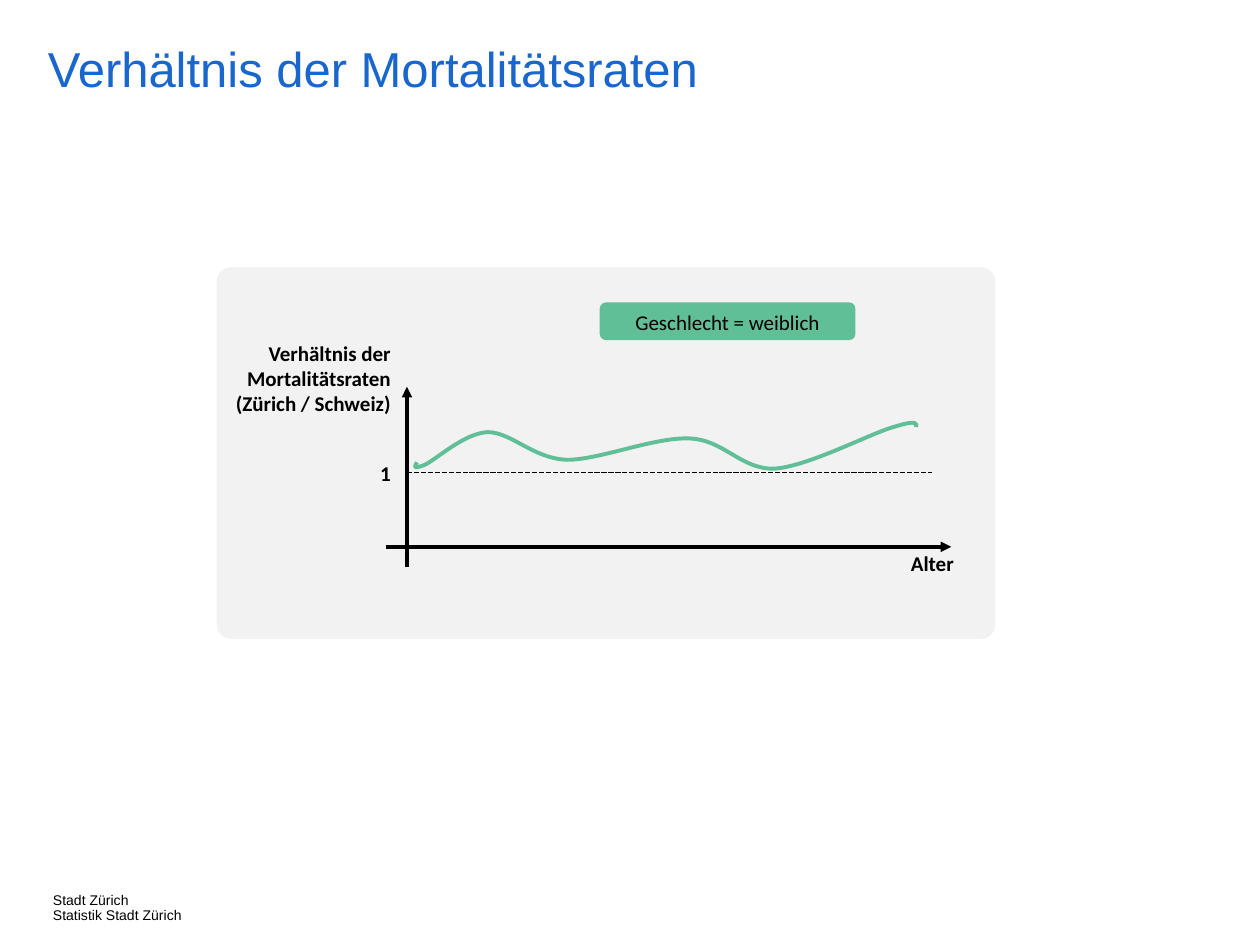
from lxml.etree import SubElement
from pptx import Presentation
from pptx.dml.color import RGBColor
from pptx.enum.dml import MSO_LINE
from pptx.enum.shapes import MSO_CONNECTOR, MSO_SHAPE
from pptx.enum.text import MSO_ANCHOR, MSO_AUTO_SIZE, PP_ALIGN
from pptx.oxml.ns import qn
from pptx.util import Inches, Pt

BLACK = RGBColor(0x00, 0x00, 0x00)
BLUE = RGBColor(0x19, 0x66, 0xCC)
GREEN = RGBColor(0x60, 0xBF, 0x97)
GREY = RGBColor(0xF2, 0xF2, 0xF2)

# Start point, then two control points and an end point per Bézier segment
RATIO_CURVE = [
    (3.31, 3.67),
    (3.29, 3.70), (3.27, 3.73), (3.37, 3.69),
    (3.46, 3.65), (3.68, 3.44), (3.87, 3.43),
    (4.06, 3.43), (4.23, 3.64), (4.50, 3.65),
    (4.76, 3.65), (5.19, 3.47), (5.47, 3.48),
    (5.75, 3.49), (5.88, 3.73), (6.15, 3.72),
    (6.42, 3.70), (6.91, 3.44), (7.09, 3.39),
    (7.28, 3.33), (7.28, 3.36), (7.27, 3.39),
]


def place(sp, box):
    sp.left, sp.top, sp.width, sp.height = map(Inches, box)


def remove_margins(tf):
    tf.margin_left = tf.margin_top = tf.margin_right = tf.margin_bottom = 0


def style_paragraph(p, size, color, font, align, bold=False):
    p.alignment = align
    p.font.size = Pt(size)
    p.font.name = font
    p.font.bold = bold
    p.font.color.rgb = color


def set_title(slide, text):
    title = slide.shapes.title
    place(title, (0.38, 0.36, 9.62, 0.64))
    tf = title.text_frame
    tf.auto_size = MSO_AUTO_SIZE.NONE
    tf.vertical_anchor = MSO_ANCHOR.TOP
    remove_margins(tf)
    p = tf.paragraphs[0]
    p.text = text
    p.line_spacing = 0.9
    style_paragraph(p, 28, BLUE, "Arial", PP_ALIGN.LEFT)


def add_footer(shapes, lines):
    sp = shapes.add_textbox(*map(Inches, (0.42, 7.09, 1.31, 0.2)))
    tf = sp.text_frame
    tf.word_wrap = False
    remove_margins(tf)
    tf.text = "\n".join(lines)
    for p in tf.paragraphs:
        p.line_spacing = 0.9
        style_paragraph(p, 8, BLACK, "Arial", PP_ALIGN.LEFT)


def add_panel(shapes, box, color, radius):
    sp = shapes.add_shape(MSO_SHAPE.ROUNDED_RECTANGLE, *map(Inches, box))
    sp.adjustments[0] = radius
    sp.shadow.inherit = False
    sp.fill.solid()
    sp.fill.fore_color.rgb = color
    sp.line.fill.background()


def add_label(shapes, text, box, align, bold=True):
    sp = shapes.add_textbox(*map(Inches, box))
    tf = sp.text_frame
    tf.word_wrap = True
    tf.auto_size = MSO_AUTO_SIZE.SHAPE_TO_FIT_TEXT
    p = tf.paragraphs[0]
    p.text = text
    style_paragraph(p, 12, BLACK, "Calibri", align, bold)


def add_line(shapes, start, end, width):
    line = shapes.add_connector(MSO_CONNECTOR.STRAIGHT, *map(Inches, start + end))
    line.line.color.rgb = BLACK
    line.line.width = Pt(width)
    SubElement(line._element.spPr, qn("a:effectLst"))
    return line


def add_axis(shapes, start, end):
    axis = add_line(shapes, start, end, 2)
    SubElement(axis.line._get_or_add_ln(), qn("a:tailEnd"), type="triangle")


def add_curve(shapes, points, color, width):
    """Draw a Bézier curve by merging each three line segments into one curve."""
    start, *rest = [(Inches(x), Inches(y)) for x, y in points]
    builder = shapes.build_freeform(*start)
    builder.add_line_segments(rest, close=False)
    sp = builder.convert_to_shape()
    outline = sp._element.find(".//" + qn("a:path"))
    segments = outline.findall(qn("a:lnTo"))
    for i in range(0, len(segments), 3):
        bezier = SubElement(outline, qn("a:cubicBezTo"))
        for segment in segments[i:i + 3]:
            bezier.append(segment[0])
            outline.remove(segment)
    sp.shadow.inherit = False
    sp.fill.background()
    sp.line.color.rgb = color
    sp.line.width = Pt(width)


def add_legend(shapes, text):
    group = shapes.add_group_shape()
    add_panel(group.shapes, (4.76, 2.4, 2.03, 0.3), GREEN, 0.167)
    add_label(group.shapes, text, (4.76, 2.41, 2.03, 0.3), PP_ALIGN.CENTER, bold=False)


def main():
    prs = Presentation()
    prs.slide_width, prs.slide_height = Inches(10), Inches(7.5)
    slide = prs.slides.add_slide(prs.slide_layouts[5])
    shapes = slide.shapes

    add_footer(shapes, ["Stadt Zürich", "Statistik Stadt Zürich"])
    set_title(slide, "Verhältnis der Mortalitätsraten")
    add_panel(shapes, (1.72, 2.12, 6.18, 2.95), GREY, 0.039)
    add_legend(shapes, "Geschlecht = weiblich")

    add_axis(shapes, (3.06, 4.34), (7.55, 4.34))
    add_label(shapes, "Alter", (6.78, 4.32, 1.24, 0.3), PP_ALIGN.CENTER)
    add_axis(shapes, (3.23, 4.5), (3.23, 3.07))
    add_label(shapes, "Verhältnis der Mortalitätsraten\n(Zürich / Schweiz)",
              (1.72, 2.65, 1.48, 0.71), PP_ALIGN.RIGHT)

    reference = add_line(shapes, (3.23, 3.75), (7.4, 3.75), 1)
    reference.line.dash_style = MSO_LINE.SQUARE_DOT
    add_label(shapes, "1", (2.55, 3.61, 0.65, 0.3), PP_ALIGN.RIGHT)
    add_curve(shapes, RATIO_CURVE, GREEN, 2.25)

    prs.save("out.pptx")


if __name__ == "__main__":
    main()
